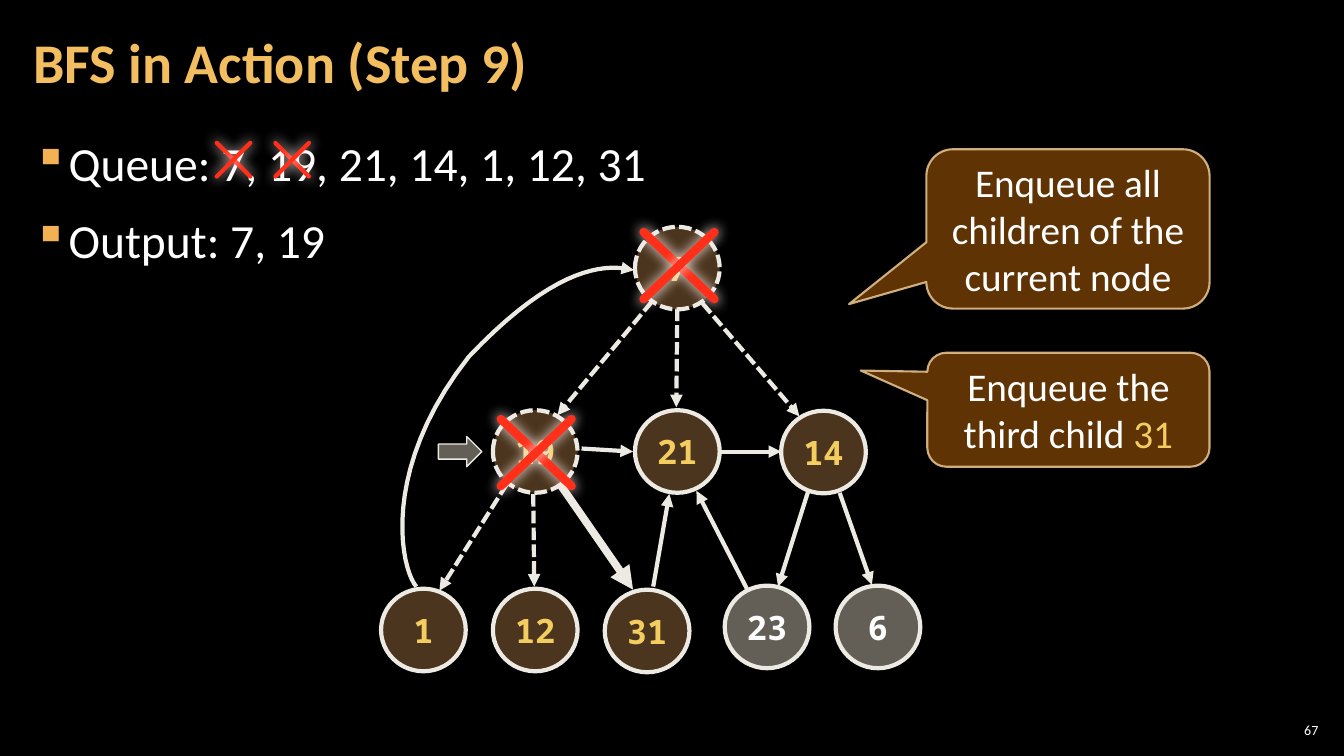
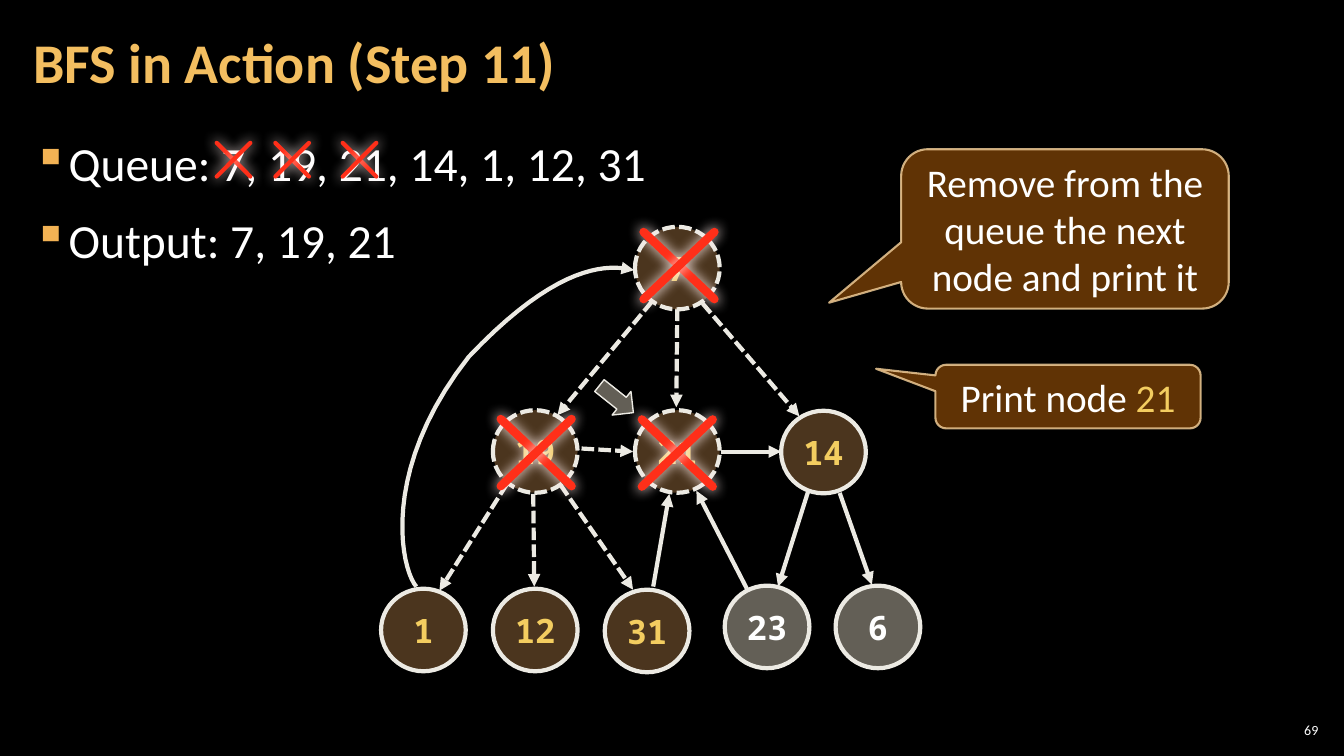
from lxml import etree
from pptx import Presentation
from pptx.dml.color import RGBColor
from pptx.enum.dml import MSO_LINE
from pptx.enum.shapes import MSO_CONNECTOR, MSO_SHAPE
from pptx.enum.text import MSO_ANCHOR, MSO_AUTO_SIZE, PP_ALIGN
from pptx.oxml.ns import qn
from pptx.util import Pt

STRAIGHT = MSO_CONNECTOR.STRAIGHT
SYS_DASH = MSO_LINE.SQUARE_DOT
ELLIPSE = MSO_SHAPE.OVAL
CALLOUT = MSO_SHAPE.ROUNDED_RECTANGULAR_CALLOUT
RIGHT_ARROW = MSO_SHAPE.RIGHT_ARROW
LEFT, CENTER, RIGHT = PP_ALIGN.LEFT, PP_ALIGN.CENTER, PP_ALIGN.RIGHT
MIDDLE = MSO_ANCHOR.MIDDLE
TITLE_ONLY = 5

COLORS = {
    "background": "000000", "title": "F3BE60", "text": "FFFFFF", "bullet": "F2B254",
    "highlight": "F3CD60", "edge": "ECEAE3", "reached": "6C4C2C", "unreached": "C7BFAC",
    "cross": "FF2F19", "glow": "FFEDEB", "callout": "663606", "callout_line": "F8D49E",
}
TEXT_FONT, NODE_FONT = "Calibri", "Noto Sans Mono"
QUEUE = "Queue: 7, 19, 21, 14, 1, 12, 31"

NODE_SIZE = (60.5, 59)
NODES = {  # left, top
    "7": (453.6, 162), "19": (352.1, 293), "21": (453.6, 293), "14": (558, 293.4),
    "1": (272.2, 420.5), "12": (352.1, 420.5), "31": (432, 421.2),
    "23": (517.7, 418.3), "6": (596.9, 418.3),
}
UNREACHED = {"23", "6"}
EDGES = {  # start point, end point
    ("7", "19"): (465.8, 215.3, 398.2, 296.6),
    ("7", "21"): (483.8, 220.3, 483.1, 290.9),
    ("7", "14"): (501.8, 216.7, 571, 297.4),
    ("19", "1"): (362.2, 345.6, 313.9, 421.9),
    ("19", "12"): (380.9, 352.8, 381.6, 419),
    ("19", "31"): (400.3, 346.3, 452.2, 421.2),
    ("19", "21"): (415.4, 320.4, 452.2, 322.6),
    ("21", "14"): (514.8, 322.6, 558, 322.6),
    ("14", "23"): (577.4, 350.6, 555.8, 419),
    ("14", "6"): (599.8, 352.1, 622.8, 417.6),
    ("31", "21"): (466.6, 419, 478.1, 352.8),
    ("23", "21"): (533.5, 420.5, 497.5, 350.6),
}
BACK_EDGE = [  # cubic curves from node 1 to node 7
    ((297.4, 419), (286.6, 406.8), (270.7, 336.2), (334.8, 254.9)),
    ((334.8, 254.9), (398.9, 187.2), (434.9, 188.6), (452.9, 193)),
]
CURVE_STEPS = 20
NODE_CROSSES = {"7": (485, 189.7), "19": (383, 323.3), "21": (483.8, 323.6)}
QUEUE_CROSSES = {"7": (166.8, 114.1), "19": (208.7, 114.1), "21": (256.8, 114.1)}

STEPS = [
    {
        "title": "BFS in Action (Step 9)", "number": "67", "visited": ["7", "19"],
        "open": {("19", "21")}, "current": ("19", "31"),
        "pointer": (313.2, 311.8, 0),
        "callouts": [
            ((661.7, 106.6, 202.3, 113.8), (-0.773, 0.472),
             "Enqueue all children of the current node", ""),
            ((662.4, 252, 201.6, 81.4), (-0.736, -0.344), "Enqueue the third child ", "31"),
        ],
    },
    {
        "title": "BFS in Action (Step 11)", "number": "69", "visited": ["7", "19", "21"],
        "open": {("21", "14")}, "current": None,
        "pointer": (424.8, 274.3, 38.5),
        "callouts": [
            ((643.7, 106.6, 234, 113.8), (-0.72, 0.463),
             "Remove from the queue the next node and print it", ""),
            ((668.2, 260.6, 189.4, 45.4), (-0.724, -0.437), "Print node ", "21"),
        ],
    },
]


def rgb(name):
    return RGBColor.from_string(COLORS[name])


def pts(*values):
    return [Pt(value) for value in values]


def add_xml(parent, tag, **attributes):
    return etree.SubElement(parent, qn(tag), attributes)


def set_opacity(properties, percent):
    """Make the solid fill of a shape or a line partly transparent."""
    color = properties.find(qn("a:solidFill")).find(qn("a:srgbClr"))
    add_xml(color, "a:alpha", val=str(percent * 1000))


def line_xml(shape):
    return shape.element.spPr.find(qn("a:ln"))


def style_line(shape, color, width, dashed=False):
    shape.line.color.rgb = rgb(color)
    shape.line.width = Pt(width)
    if dashed:
        shape.line.dash_style = SYS_DASH


def style_font(paragraph, size, color, name=TEXT_FONT, bold=False):
    font = paragraph.font
    font.name, font.size, font.bold = name, Pt(size), bold
    font.color.rgb = rgb(color)


def set_insets(frame, horizontal, vertical):
    frame.margin_left = frame.margin_right = Pt(horizontal)
    frame.margin_top = frame.margin_bottom = Pt(vertical)


def add_filled_shape(slide, kind, box, fill, opacity):
    shape = slide.shapes.add_shape(kind, *pts(*box))
    shape.shadow.inherit = False
    shape.fill.solid()
    shape.fill.fore_color.rgb = rgb(fill)
    set_opacity(shape.element.spPr, opacity)
    return shape


def add_line(slide, ends, color, width, dashed=False):
    """Add a straight line; return it with its empty effect list."""
    line = slide.shapes.add_connector(STRAIGHT, *pts(*ends))
    style_line(line, color, width, dashed)
    return line, add_xml(line.element.spPr, "a:effectLst")


def add_arrowhead(shape):
    add_xml(line_xml(shape), "a:tailEnd", type="triangle")


def add_edge(slide, ends, width=3, dashed=False):
    edge, _ = add_line(slide, ends, "edge", width, dashed)
    add_arrowhead(edge)


def curve_point(curve, t):
    weights = ((1 - t) ** 3, 3 * t * (1 - t) ** 2, 3 * t * t * (1 - t), t ** 3)
    return pts(*(sum(w * p[axis] for w, p in zip(weights, curve)) for axis in (0, 1)))


def add_back_edge(slide):
    points = [curve_point(curve, step / CURVE_STEPS)
              for curve in BACK_EDGE for step in range(1, CURVE_STEPS + 1)]
    builder = slide.shapes.build_freeform(*pts(*BACK_EDGE[0][0]))
    builder.add_line_segments(points, close=False)
    edge = builder.convert_to_shape()
    edge.shadow.inherit = False
    edge.fill.background()
    style_line(edge, "edge", 3)
    add_arrowhead(edge)


def add_node(slide, label, visited):
    reached = label not in UNREACHED
    fill, opacity = ("reached", 70) if reached else ("unreached", 50)
    node = add_filled_shape(slide, ELLIPSE, NODES[label] + NODE_SIZE, fill, opacity)
    style_line(node, "edge", 3, visited)
    frame = node.text_frame
    frame.word_wrap = False
    frame.vertical_anchor = MIDDLE
    paragraph = frame.paragraphs[0]
    paragraph.text = label
    paragraph.alignment = CENTER
    style_font(paragraph, 24, "highlight" if reached else "text", NODE_FONT, True)


def add_cross(slide, center, size, width):
    """Add two glowing diagonals around a centre."""
    x, y = center
    dx, dy = size[0] / 2, size[1] / 2
    for rise in (dy, -dy):
        stroke, effects = add_line(slide, (x - dx, y - rise, x + dx, y + rise), "cross", width)
        line_xml(stroke).set("cap", "rnd")
        glow = add_xml(effects, "a:outerShdw", blurRad=str(Pt(10)), dist="0",
                       dir="5400000", algn="ctr", rotWithShape="0")
        add_xml(glow, "a:srgbClr", val=COLORS["glow"])


def add_callout(slide, box, tip, text, highlight):
    callout = add_filled_shape(slide, CALLOUT, box, "callout", 95)
    for index, value in enumerate((*tip, 0.167)):
        callout.adjustments[index] = value
    style_line(callout, "callout_line", 1.5)
    set_opacity(line_xml(callout), 80)
    frame = callout.text_frame
    frame.word_wrap = True
    frame.vertical_anchor = MIDDLE
    paragraph = frame.paragraphs[0]
    paragraph.alignment = CENTER
    style_font(paragraph, 28, "text")
    paragraph.add_run().text = text
    if highlight:
        run = paragraph.add_run()
        run.text = highlight
        run.font.color.rgb = rgb("highlight")


def add_pointer(slide, left, top, rotation):
    pointer = add_filled_shape(slide, RIGHT_ARROW, (left, top, 31, 21.6), "unreached", 50)
    style_line(pointer, "edge", 1)
    pointer.rotation = rotation


def set_title(slide, text):
    title = slide.shapes.title
    title.left, title.top, title.width, title.height = pts(15.1, 2.9, 753.8, 87.1)
    frame = title.text_frame
    frame.auto_size = MSO_AUTO_SIZE.NONE
    frame.vertical_anchor = MIDDLE
    set_insets(frame, 8.6, 2.9)
    paragraph = frame.paragraphs[0]
    paragraph.text = text
    paragraph.alignment = LEFT
    paragraph.line_spacing = 0.9
    style_font(paragraph, 40, "title", bold=True)


def add_bullets(slide, items):
    frame = slide.shapes.add_textbox(*pts(15.1, 90.7, 929.5, 438.5)).text_frame
    frame.word_wrap = True
    set_insets(frame, 8.6, 2.9)
    for index, item in enumerate(items):
        paragraph = frame.add_paragraph() if index else frame.paragraphs[0]
        paragraph.text = item
        properties = paragraph._p.get_or_add_pPr()
        properties.set("marL", str(Pt(24)))
        properties.set("indent", str(Pt(-24)))
        add_xml(add_xml(properties, "a:buClr"), "a:srgbClr", val=COLORS["bullet"])
        add_xml(properties, "a:buChar", char="▪")
        paragraph.line_spacing = 1.05
        paragraph.space_before = Pt(6 if index else 0)
        paragraph.space_after = Pt(6)
        style_font(paragraph, 34, "text")


def add_slide_number(slide, number):
    frame = slide.shapes.add_textbox(*pts(910.8, 514.1, 33.8, 15.1)).text_frame
    frame.word_wrap = True
    frame.vertical_anchor = MIDDLE
    set_insets(frame, 2.9, 2.9)
    paragraph = frame.paragraphs[0]
    paragraph.text = number
    paragraph.alignment = RIGHT
    style_font(paragraph, 10, "text")


def add_graph(slide, visited, open_edges, current):
    """Draw the graph; edges already followed from visited nodes are dashed."""
    for edge, ends in EDGES.items():
        followed = edge[0] in visited and edge not in open_edges and edge != current
        add_edge(slide, ends, 5.5 if edge == current else 3, followed)
    add_back_edge(slide)
    for label in NODES:
        add_node(slide, label, label in visited)
    for label in visited:
        add_cross(slide, NODE_CROSSES[label], (50.6, 48), 6)


def add_step(prs, step):
    slide = prs.slides.add_slide(prs.slide_layouts[TITLE_ONLY])
    visited = step["visited"]
    set_title(slide, step["title"])
    add_bullets(slide, [QUEUE, "Output: " + ", ".join(visited)])
    add_slide_number(slide, step["number"])
    for label in visited:
        add_cross(slide, QUEUE_CROSSES[label], (24, 24), 3)
    add_graph(slide, visited, step["open"], step["current"])
    add_pointer(slide, *step["pointer"])
    for callout in step["callouts"]:
        add_callout(slide, *callout)


def main():
    prs = Presentation()
    prs.slide_width, prs.slide_height = pts(960, 540)
    background = prs.slide_master.background.fill
    background.solid()
    background.fore_color.rgb = rgb("background")
    for step in STEPS:
        add_step(prs, step)
    prs.save("out.pptx")


if __name__ == "__main__":
    main()
